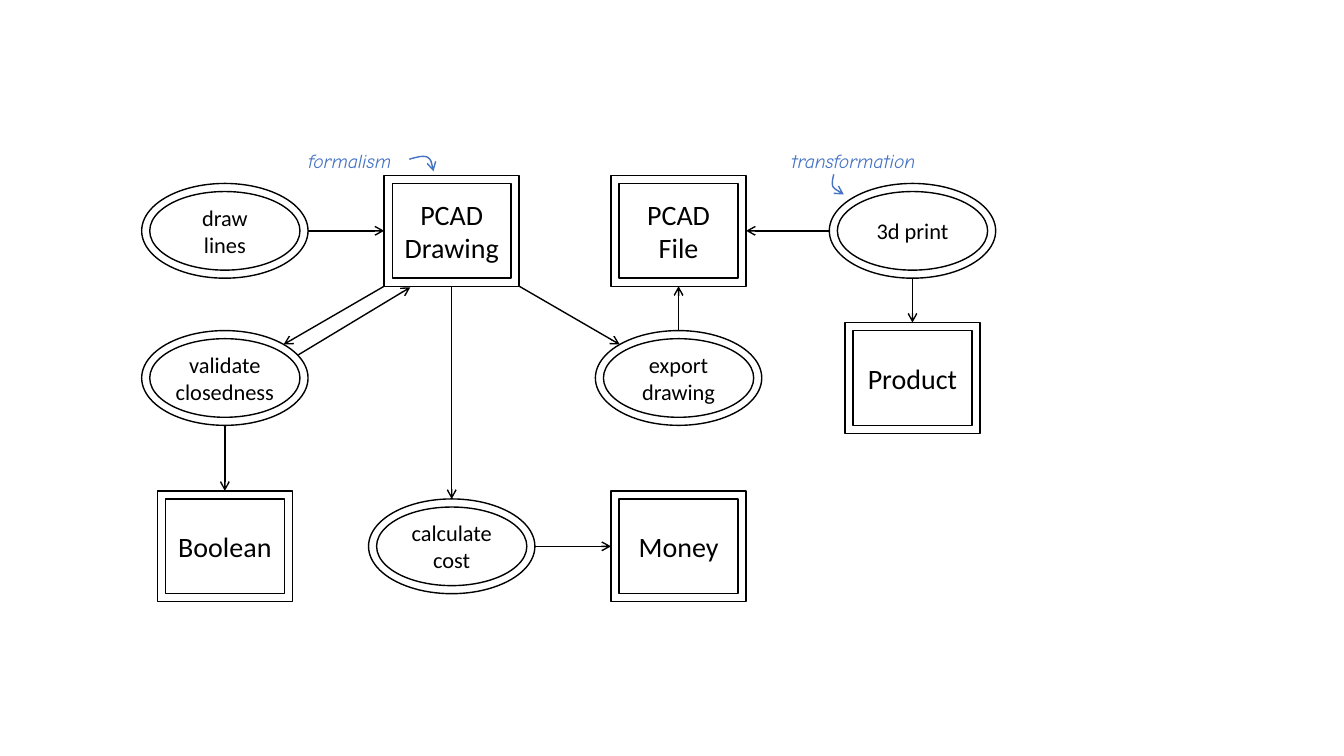
"""Build a slide showing the formalisms and transformations of a PCAD workflow."""
from dataclasses import dataclass
from typing import NamedTuple

import pptx
import pptx.dml.color
import pptx.enum.shapes
import pptx.enum.text
import pptx.oxml
import pptx.oxml.ns
import pptx.util
from pptx.util import Inches

SHAPES = pptx.enum.shapes.MSO_SHAPE


@dataclass(frozen=True)
class Theme:
    ink: pptx.dml.color.RGBColor = pptx.dml.color.RGBColor(0, 0, 0)
    paper: pptx.dml.color.RGBColor = pptx.dml.color.RGBColor(255, 255, 255)
    accent: pptx.dml.color.RGBColor = pptx.dml.color.RGBColor(0x44, 0x72, 0xC4)
    node_font: str = "Calibri"
    note_font: str = "Comic Neue"
    formalism_size: int = 20
    transformation_size: int = 16
    note_size: int = 14
    line_width: int = 1
    border_gap: float = 0.08
    text_inset: float = 0.04


THEME = Theme()


class Point(NamedTuple):
    x: float
    y: float


class Joint(NamedTuple):
    node: str
    site: int


@dataclass(frozen=True)
class Kind:
    preset: pptx.enum.shapes.MSO_SHAPE
    width: float
    height: float
    text_size: int


@dataclass(frozen=True)
class Node:
    text: str
    kind: Kind
    center: Point


@dataclass(frozen=True)
class Arrow:
    begin: Point | Joint
    end: Point | Joint


@dataclass(frozen=True)
class Note:
    text: str
    left: float
    width: float
    curve: tuple[Point, ...]


FORMALISM = Kind(SHAPES.RECTANGLE, 1.34, 1.1, THEME.formalism_size)
TRANSFORMATION = Kind(SHAPES.OVAL, 1.65, 0.94, THEME.transformation_size)
COLUMNS = (2.23, 4.48, 6.73, 9.05)
TOP_ROW, MIDDLE_ROW, BOTTOM_ROW = 2.29, 3.75, 5.42
NOTE_TOP, NOTE_HEIGHT = 1.43, 0.34
CURVE_STEPS = 12

NODES = {
    "drawing": Node("PCAD\nDrawing", FORMALISM, Point(COLUMNS[1], TOP_ROW)),
    "boolean": Node("Boolean", FORMALISM, Point(COLUMNS[0], BOTTOM_ROW)),
    "file": Node("PCAD\nFile", FORMALISM, Point(COLUMNS[2], TOP_ROW)),
    "product": Node("Product", FORMALISM, Point(COLUMNS[3], MIDDLE_ROW)),
    "draw": Node("draw\nlines", TRANSFORMATION, Point(COLUMNS[0], TOP_ROW)),
    "export": Node("export\ndrawing", TRANSFORMATION, Point(COLUMNS[2], MIDDLE_ROW)),
    "validate": Node("validate\nclosedness", TRANSFORMATION, Point(COLUMNS[0], MIDDLE_ROW)),
    "print": Node("3d print", TRANSFORMATION, Point(COLUMNS[3], TOP_ROW)),
    "cost": Node("calculate\ncost", TRANSFORMATION, Point(COLUMNS[1], BOTTOM_ROW)),
    "money": Node("Money", FORMALISM, Point(COLUMNS[2], BOTTOM_ROW)),
}

BOX_TOP, BOX_LEFT, BOX_BOTTOM, BOX_RIGHT = range(4)
OVAL_TOP, OVAL_TOP_LEFT, OVAL_LEFT, OVAL_BOTTOM, OVAL_RIGHT, OVAL_TOP_RIGHT = 0, 1, 2, 4, 6, 7
DIAGONAL = 0.5 ** 0.5
DIRECTIONS = {
    FORMALISM: ((0, -1), (-1, 0), (0, 1), (1, 0)),
    TRANSFORMATION: ((0, -1), (-DIAGONAL, -DIAGONAL), (-1, 0), (-DIAGONAL, DIAGONAL),
                     (0, 1), (DIAGONAL, DIAGONAL), (1, 0), (DIAGONAL, -DIAGONAL)),
}

ARROWS = (
    Arrow(Joint("draw", OVAL_RIGHT), Joint("drawing", BOX_LEFT)),
    Arrow(Point(3.81, 2.84), Joint("validate", OVAL_TOP_RIGHT)),
    Arrow(Joint("validate", OVAL_BOTTOM), Joint("boolean", BOX_TOP)),
    Arrow(Point(2.96, 3.52), Point(4.07, 2.85)),
    Arrow(Point(5.15, 2.84), Joint("export", OVAL_TOP_LEFT)),
    Arrow(Joint("export", OVAL_TOP), Joint("file", BOX_BOTTOM)),
    Arrow(Joint("print", OVAL_LEFT), Joint("file", BOX_RIGHT)),
    Arrow(Joint("print", OVAL_BOTTOM), Joint("product", BOX_TOP)),
    Arrow(Joint("drawing", BOX_BOTTOM), Joint("cost", OVAL_TOP)),
    Arrow(Joint("cost", OVAL_RIGHT), Joint("money", BOX_LEFT)),
)

NOTES = (
    Note("formalism", 2.96, 1.11, (
        Point(4.06, 1.58), Point(4.13, 1.56), Point(4.2, 1.54), Point(4.24, 1.56),
        Point(4.28, 1.58), Point(4.29, 1.64), Point(4.3, 1.7))),
    Note("transformation", 7.75, 1.59, (
        Point(8.27, 1.73), Point(8.26, 1.77), Point(8.25, 1.81), Point(8.26, 1.85),
        Point(8.28, 1.88), Point(8.32, 1.9), Point(8.37, 1.93))),
)


def style_line(shape, color: pptx.dml.color.RGBColor, arrow: bool = False) -> None:
    shape.line.color.rgb = color
    shape.line.width = pptx.util.Pt(THEME.line_width)
    if arrow:
        tail = pptx.oxml.parse_xml(f'<a:tailEnd {pptx.oxml.ns.nsdecls("a")} type="arrow"/>')
        shape.line._get_or_add_ln().append(tail)


def style_text(text_frame, font_name: str, size: int, color: pptx.dml.color.RGBColor,
               alignment: pptx.enum.text.PP_ALIGN, italic: bool = False) -> None:
    text_frame.word_wrap = False
    for paragraph in text_frame.paragraphs:
        paragraph.alignment = alignment
        for run in paragraph.runs:
            run.font.name = font_name
            run.font.size = pptx.util.Pt(size)
            run.font.color.rgb = color
            run.font.italic = italic


def draw_outline(group, node: Node, gap: float):
    width, height = node.kind.width - 2 * gap, node.kind.height - 2 * gap
    shape = group.shapes.add_shape(
        node.kind.preset, Inches(node.center.x - width / 2),
        Inches(node.center.y - height / 2), Inches(width), Inches(height))
    shape.shadow.inherit = False
    shape.fill.solid()
    shape.fill.fore_color.rgb = THEME.paper
    style_line(shape, THEME.ink)
    return shape


def draw_node(slide, node: Node):
    group = slide.shapes.add_group_shape()
    outer = draw_outline(group, node, 0)
    text_frame = draw_outline(group, node, THEME.border_gap).text_frame
    text_frame.text = node.text
    text_frame.vertical_anchor = pptx.enum.text.MSO_ANCHOR.MIDDLE
    text_frame.margin_left = text_frame.margin_right = Inches(THEME.text_inset)
    text_frame.margin_top = text_frame.margin_bottom = Inches(THEME.text_inset)
    style_text(text_frame, THEME.node_font, node.kind.text_size, THEME.ink,
               pptx.enum.text.PP_ALIGN.CENTER)
    return outer


def anchor_point(anchor: Point | Joint) -> Point:
    if isinstance(anchor, Point):
        return anchor
    node = NODES[anchor.node]
    across, down = DIRECTIONS[node.kind][anchor.site]
    return Point(node.center.x + across * node.kind.width / 2,
                 node.center.y + down * node.kind.height / 2)


def draw_arrow(slide, arrow: Arrow, outlines: dict) -> None:
    ends = [Inches(value) for end in (arrow.begin, arrow.end) for value in anchor_point(end)]
    connector = slide.shapes.add_connector(pptx.enum.shapes.MSO_CONNECTOR.STRAIGHT, *ends)
    for end, connect in ((arrow.begin, connector._connect_begin_to),
                         (arrow.end, connector._connect_end_to)):
        if isinstance(end, Joint):
            connect(outlines[end.node], end.site)
    style_line(connector, THEME.ink, arrow=True)
    connector._element.spPr.append(
        pptx.oxml.parse_xml(f'<a:effectLst {pptx.oxml.ns.nsdecls("a")}/>'))


def curve_points(controls: tuple[Point, ...]) -> list[tuple[int, int]]:
    points = [controls[0]]
    for start in range(0, len(controls) - 1, 3):
        for step in range(1, CURVE_STEPS + 1):
            t = step / CURVE_STEPS
            weights = ((1 - t) ** 3, 3 * t * (1 - t) ** 2, 3 * t ** 2 * (1 - t), t ** 3)
            points.append(Point(*(sum(weight * value for weight, value in zip(weights, axis))
                                  for axis in zip(*controls[start:start + 4]))))
    return [(Inches(point.x), Inches(point.y)) for point in points]


def draw_note(slide, note: Note) -> None:
    box = slide.shapes.add_textbox(
        Inches(note.left), Inches(NOTE_TOP), Inches(note.width), Inches(NOTE_HEIGHT))
    box.text_frame.text = note.text
    box.text_frame.auto_size = pptx.enum.text.MSO_AUTO_SIZE.SHAPE_TO_FIT_TEXT
    style_text(box.text_frame, THEME.note_font, THEME.note_size, THEME.accent,
               pptx.enum.text.PP_ALIGN.LEFT, italic=True)
    first, *rest = curve_points(note.curve)
    builder = slide.shapes.build_freeform(*first)
    builder.add_line_segments(rest, close=False)
    curve = builder.convert_to_shape()
    curve.shadow.inherit = False
    curve.fill.background()
    style_line(curve, THEME.accent, arrow=True)


presentation = pptx.Presentation()
presentation.slide_width, presentation.slide_height = Inches(13.33), Inches(7.5)
workflow_slide = presentation.slides.add_slide(presentation.slide_layouts[6])
node_outlines = {name: draw_node(workflow_slide, node) for name, node in NODES.items()}
for workflow_arrow in ARROWS:
    draw_arrow(workflow_slide, workflow_arrow, node_outlines)
for workflow_note in NOTES:
    draw_note(workflow_slide, workflow_note)
presentation.save("out.pptx")
